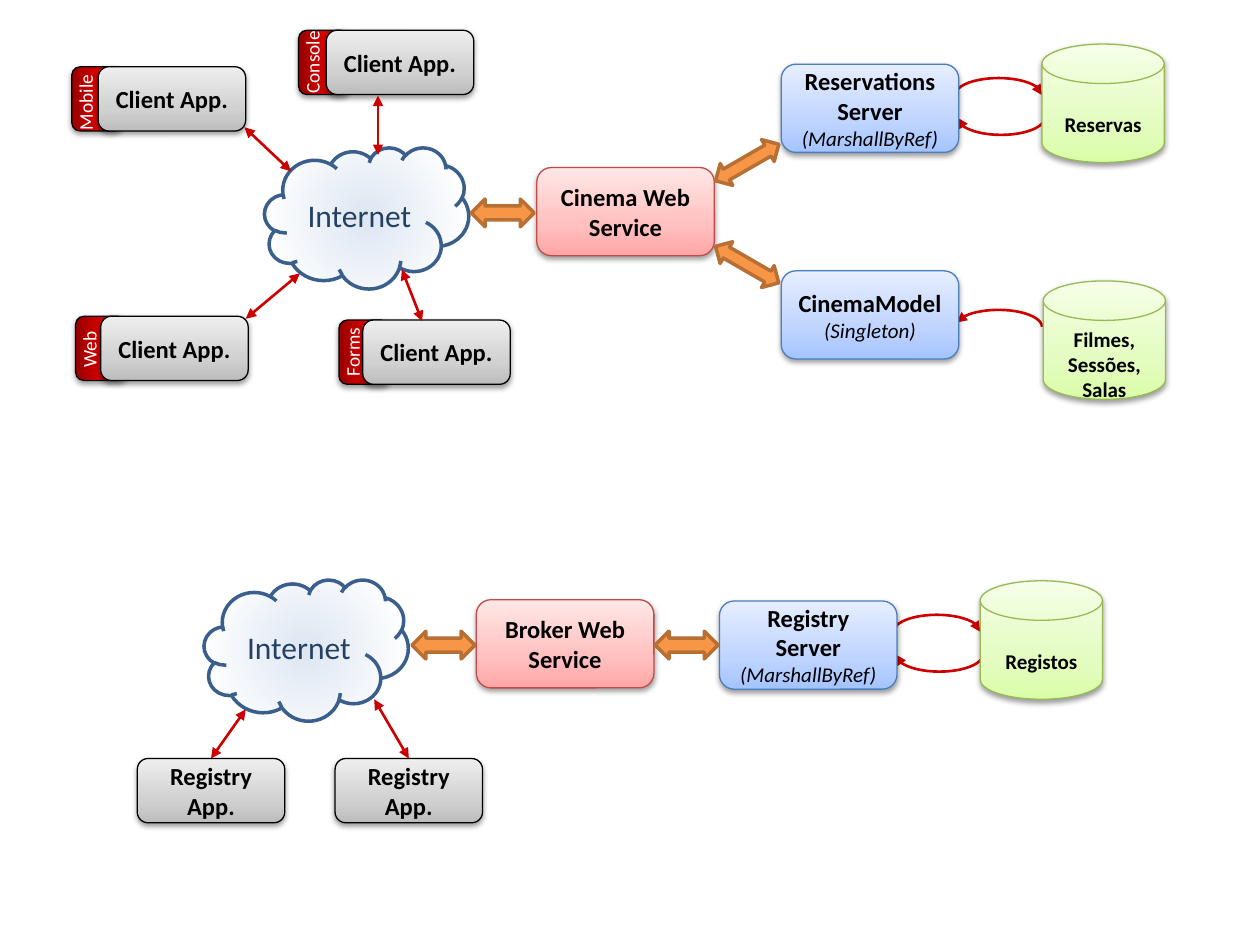
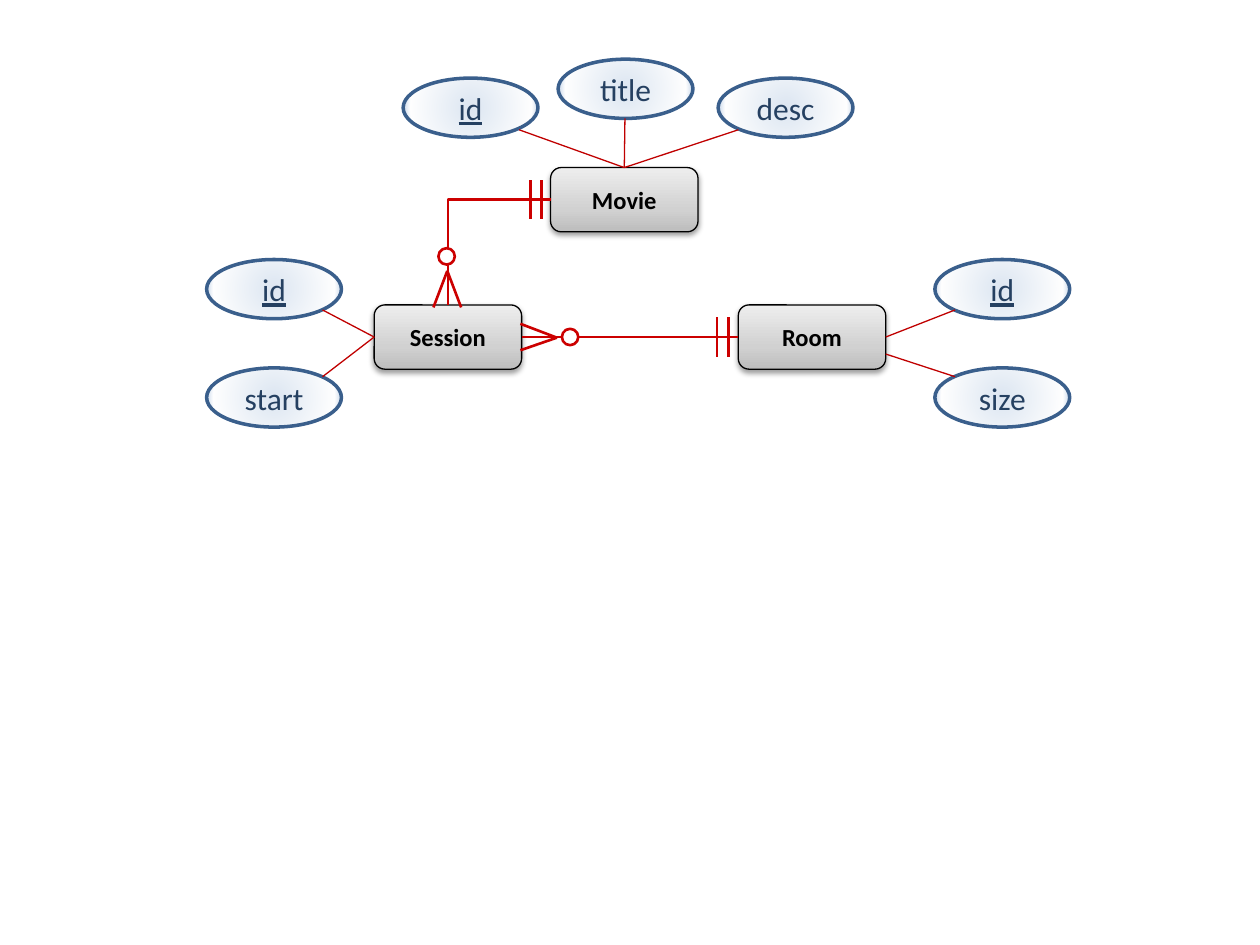
"""Draws the cinema service architecture and its entity diagram."""
from dataclasses import dataclass

from lxml import etree
from pptx import Presentation
from pptx import util as u
from pptx.dml.color import RGBColor
from pptx.enum import shapes, text
from pptx.oxml.ns import nsdecls, qn

COLOURS = {
    "black": "000000", "white": "FFFFFF", "navy": "254061", "red": "CC0000",
    "dark red": "C00000", "orange": "F79646", "rust": "B76F34",
    "green line": "98B955", "blue line": "4B7EBC", "pink line": "BF4C48",
    "cloud line": "3A5F8C",
}
GRADIENTS = {
    "green": (270, "DAFDA7", "E4FCC2", "F5FFE7"),
    "blue": (270, "A4C4FF", "BFD4FF", "E6EEFF"),
    "pink": (270, "FFA6A5", "FFC0BF", "FFE7E7"),
    "grey": (270, "BDBDBD", "D1D1D1", "EEEEEE"),
    "tab": (0, "970000", "D70000", "FF0000"),
}
GLOW = (
    '<a:gradFill %s rotWithShape="1"><a:gsLst>'
    '<a:gs pos="0"><a:srgbClr val="DCE6F2"><a:alpha val="96000"/></a:srgbClr></a:gs>'
    '<a:gs pos="82000"><a:srgbClr val="FFFFFF"/></a:gs>'
    '<a:gs pos="88000"><a:srgbClr val="DCE6F2"/></a:gs></a:gsLst>'
    '<a:path path="circle"><a:fillToRect l="50000" t="50000" r="50000" b="50000"/></a:path>'
    '</a:gradFill>' % nsdecls("a"))
SHADOW = (
    '<a:outerShdw %s blurRad="40000" dist="20000" dir="5400000" rotWithShape="0">'
    '<a:srgbClr val="000000"><a:alpha val="38000"/></a:srgbClr></a:outerShdw>' % nsdecls("a"))

SHAPE = shapes.MSO_SHAPE
TOP, LEFT, BOTTOM, RIGHT = range(4)
MIDDLE = text.MSO_ANCHOR.MIDDLE


@dataclass
class Look:
    """Appearance of one kind of shape, sized in grid cells."""
    kind: int
    width: float
    height: float
    fill: str
    line: str
    weight: float = 0.75
    shadow: bool = True
    size: int = 14
    colour: str = "black"
    bold: bool = True


LOOKS = {
    "store": Look(SHAPE.FLOWCHART_MAGNETIC_DISK, 9.7, 9.4, "green", "green line", size=12),
    "server": Look(SHAPE.ROUNDED_RECTANGLE, 14.1, 7, "blue", "blue line"),
    "service": Look(SHAPE.ROUNDED_RECTANGLE, 14.1, 7, "pink", "pink line"),
    "grey box": Look(SHAPE.ROUNDED_RECTANGLE, 11.7, 5.1, "grey", "black"),
    "tab": Look(SHAPE.ROUNDED_RECTANGLE, 4, 5.1, "tab", "black"),
    "cloud": Look(SHAPE.CLOUD, 16.2, 11.2, "glow", "cloud line", 2, False, 18, "navy", False),
    "field": Look(SHAPE.OVAL, 10.7, 4.7, "glow", "cloud line", 2, False, 18, "navy", False),
    "zero": Look(SHAPE.OVAL, 1.3, 1.3, "white", "red", 1.5, False),
    "link": Look(SHAPE.LEFT_RIGHT_ARROW, 5, 2.2, "orange", "rust", 2, False),
    "slant link": Look(SHAPE.LEFT_RIGHT_ARROW, 5.8, 2, "orange", "rust", 2, False),
    "arc": Look(SHAPE.ARC, 6.9, 2.7, "", "red", 1.5, False),
}


def rgb(name):
    """Return the named colour."""
    return RGBColor.from_string(COLOURS[name])


def gradient_xml(name):
    """Return the gradient fill markup for a named fill."""
    if name == "glow":
        return GLOW
    angle, *stops = GRADIENTS[name]
    places = (0, 50, 100) if name == "tab" else (0, 35, 100)
    marks = "".join(f'<a:gs pos="{place * 1000}"><a:srgbClr val="{stop}"/></a:gs>'
                    for place, stop in zip(places, stops))
    return (f'<a:gradFill {nsdecls("a")} rotWithShape="1"><a:gsLst>{marks}</a:gsLst>'
            f'<a:lin ang="{angle * 60000}" scaled="0"/></a:gradFill>')


class Sketch:
    """Draws styled elements on the current page, on a grid of 100 by 75 cells."""

    font = "Calibri"

    def __init__(self):
        """Start an empty deck."""
        self.deck = Presentation()
        self.deck.slide_width, self.deck.slide_height = u.Inches(10), u.Inches(7.5)
        self.column = self.deck.slide_width / 100
        self.row = self.deck.slide_height / 75
        self.page = None

    def new_page(self):
        """Add a blank page and make it current."""
        self.page = self.deck.slides.add_slide(self.deck.slide_layouts[6])

    def cells(self, *lengths):
        """Turn alternating column and row counts into lengths."""
        return [u.Emu(round(length * (self.row if index % 2 else self.column)))
                for index, length in enumerate(lengths)]

    def add_span(self, para, words, size, colour, bold=False, italic=False, underline=None):
        """Add one formatted run to a paragraph."""
        span = para.add_run()
        span.text = words
        font = span.font
        font.name, font.size, font.color.rgb = self.font, u.Pt(size), rgb(colour)
        font.bold, font.italic, font.underline = bold, italic, underline

    def shape(self, name, left, top, words="", note="", anchor=MIDDLE, turn=0, key=False):
        """Add a shape of a named look, with an optional italic note below its words."""
        look = LOOKS[name]
        box = self.page.shapes.add_shape(
            look.kind, *self.cells(left, top, look.width, look.height))
        box.rotation = turn
        box.line.color.rgb, box.line.width = rgb(look.line), u.Pt(look.weight)
        properties = box.element.spPr
        if not look.fill:
            box.fill.background()
        elif look.fill in COLOURS:
            box.fill.solid()
            box.fill.fore_color.rgb = rgb(look.fill)
        else:
            box.fill.solid()
            properties.replace(properties.find(qn("a:solidFill")),
                               etree.fromstring(gradient_xml(look.fill)))
        box.shadow.inherit = False
        if look.shadow:
            properties.find(qn("a:effectLst")).append(etree.fromstring(SHADOW))
        if words:
            frame = box.text_frame
            frame.word_wrap, frame.vertical_anchor = True, anchor
            para = frame.paragraphs[0]
            para.alignment = text.PP_ALIGN.CENTER
            self.add_span(para, words, look.size, look.colour, look.bold, underline=key or None)
            if note:
                para = frame.add_paragraph()
                para.alignment = text.PP_ALIGN.CENTER
                self.add_span(para, note, 12, look.colour, italic=True)
        return box

    def arrowheads(self, element, *ends):
        """Put triangles on the given ends of an outline."""
        line = element.spPr.find(qn("a:ln"))
        for end in ends:
            etree.SubElement(line, qn(f"a:{end}End")).set("type", "triangle")

    def arc(self, left, top, end="tail", turn=0):
        """Add a curved arrow."""
        curve = self.shape("arc", left, top, turn=turn)
        curve.adjustments[0], curve.adjustments[1] = 111.57, 0
        self.arrowheads(curve.element, end)

    def line(self, start, stop, colour="red", weight=1.5, heads=False, begin=None, end=None,
             bent=False):
        """Add a connector, joined to (box, side) pairs where given."""
        kind = shapes.MSO_CONNECTOR.ELBOW if bent else shapes.MSO_CONNECTOR.STRAIGHT
        wire = self.page.shapes.add_connector(kind, *self.cells(*start, *stop))
        if begin:
            wire.begin_connect(*begin)
        if end:
            wire.end_connect(*end)
        wire.line.color.rgb, wire.line.width = rgb(colour), u.Pt(weight)
        properties = wire.element.spPr
        if bent:
            properties.find(qn("a:prstGeom")).set("prst", "bentConnector2")
        etree.SubElement(properties, qn("a:effectLst"))
        if heads:
            self.arrowheads(wire.element, "head", "tail")

    def client(self, label, left, top, tab_left, length):
        """Add a client application with its upright red tab."""
        self.shape("tab", tab_left, top)
        height = 2.9
        box = self.page.shapes.add_textbox(*self.cells(
            tab_left + 1.1 - length / 2, top + 2.5 - height / 2, length, height))
        box.rotation = 270
        frame = box.text_frame
        frame.word_wrap, frame.margin_right = True, 0
        self.add_span(frame.paragraphs[0], label, 11, "white")
        self.shape("grey box", left, top, "Client App.")

    def store(self, left, top, words, anchor=text.MSO_ANCHOR.BOTTOM):
        """Add a data store."""
        self.shape("store", left, top, words, anchor=anchor)

    def two_way_arcs(self, left, top):
        """Add the pair of curved arrows between a server and its store."""
        self.arc(left, top)
        self.arc(left + 0.2, top + 1.8, turn=180)


def draw_architecture(sketch):
    """Draw the cinema system above and the registry system below."""
    sketch.new_page()
    sketch.two_way_arcs(75.8, 6.2)
    sketch.arc(75.8, 24.6, end="head")
    sketch.store(82.7, 3.5, "Reservas")
    sketch.store(82.8, 22.3, "Filmes, Sessões, Salas", text.MSO_ANCHOR.TOP)
    sketch.shape("server", 62, 5.1, "Reservations Server", "(MarshallByRef)")
    sketch.shape("server", 62, 21.5, "CinemaModel", "(Singleton)")
    sketch.shape("service", 42.6, 13.3, "Cinema Web Service")
    sketch.shape("slant link", 56.4, 20, turn=210)
    sketch.shape("slant link", 56.4, 11.9, turn=150)
    sketch.shape("cloud", 21, 11.7, "Internet")
    sketch.shape("link", 37.4, 15.8)
    for client in (("Mobile", 7.8, 5.3, 5.7, 7), ("Forms", 28.8, 25.4, 26.9, 5.9),
                   ("Console", 25.9, 2.4, 23.7, 7), ("Web", 8, 25.1, 6, 5.1)):
        sketch.client(*client)
    for start, stop in (((30, 7.6), (30, 12.3)), ((19.4, 10.1), (23.1, 13.6)),
                        ((19.5, 25.3), (23.8, 21.7)), ((31.9, 21.4), (33.5, 25.5))):
        sketch.line(start, stop, heads=True)

    sketch.two_way_arcs(70.9, 48.8)
    sketch.store(77.8, 46.1, "Registos")
    sketch.shape("server", 57.1, 47.7, "Registry Server", "(MarshallByRef)")
    sketch.shape("service", 37.8, 47.6, "Broker Web Service")
    sketch.shape("cloud", 16.2, 46, "Internet")
    for left in (32.7, 52):
        sketch.shape("link", left, 50.1)
    for left, cloud_end in ((10.9, (19.5, 56.3)), (26.6, (29.7, 55.5))):
        app = sketch.shape("grey box", left, 60.2, "Registry App.")
        sketch.line((left + 5.85, 60.2), cloud_end, heads=True, begin=(app, TOP))


def draw_entities(sketch):
    """Draw the movie, session and room entities with their fields."""
    sketch.new_page()
    movie, session, room = (
        sketch.shape("grey box", left, top, name)
        for name, left, top in (("Movie", 43.7, 13.3), ("Session", 29.7, 24.2),
                                ("Room", 58.6, 24.2)))
    sketch.line((43.7, 15.8), (35.5, 24.2), begin=(movie, LEFT), end=(session, TOP), bent=True)
    sketch.line((41.4, 26.8), (58.6, 26.8), begin=(session, RIGHT), end=(room, LEFT))

    for name, left, top in (("id", 32, 6.2), ("title", 44.3, 4.7), ("desc", 57, 6.2),
                            ("id", 16.4, 20.6), ("start", 16.4, 29.2),
                            ("id", 74.2, 20.6), ("size", 74.2, 29.2)):
        sketch.shape("field", left, top, name, key=name == "id")
    for start, stop, joint in (((41.2, 10.3), (49.6, 13.3), (movie, TOP)),
                               ((49.6, 9.4), (49.6, 13.3), (movie, TOP)),
                               ((58.6, 10.3), (49.6, 13.3), (movie, TOP)),
                               ((25.6, 24.6), (29.7, 26.8), (session, LEFT)),
                               ((25.6, 29.9), (29.7, 26.8), (session, LEFT)),
                               ((75.8, 24.6), (70.3, 26.8), (room, RIGHT)),
                               ((75.8, 29.9), (70.3, 28.1), None)):
        sketch.line(start, stop, "dark red", 0.75, end=joint)

    for x, y in ((42.1, 14.3), (43, 14.3), (56.9, 25.2), (57.8, 25.2)):
        sketch.line((x, y), (x, y + 3.1))
    for tip, toes in (((35.5, 21.5), ((36.6, 24.4), (34.4, 24.4))),
                      ((44.2, 26.8), ((41.3, 27.8), (41.3, 25.7)))):
        for toe in toes:
            sketch.line(tip, toe)
    for left, top in ((34.8, 19.7), (44.6, 26.1)):
        sketch.shape("zero", left, top)


def main():
    """Build and save the deck."""
    sketch = Sketch()
    draw_architecture(sketch)
    draw_entities(sketch)
    sketch.deck.save("out.pptx")


if __name__ == "__main__":
    main()
